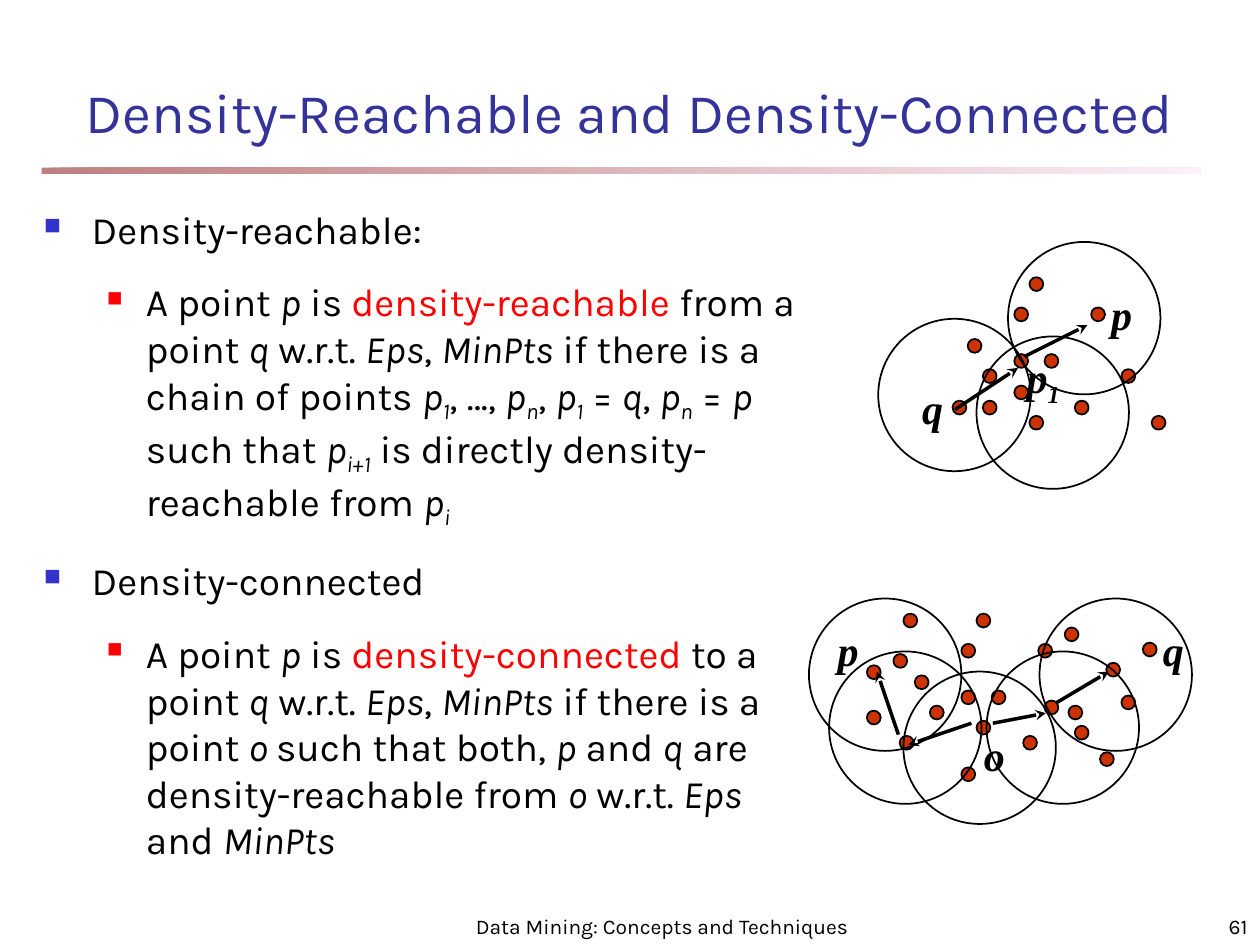
from dataclasses import dataclass

from lxml import etree
from pptx import Presentation
from pptx import util as u
from pptx.dml.color import RGBColor
from pptx.enum import shapes, text
from pptx.oxml import ns


@dataclass(frozen=True)
class Theme:
    title: RGBColor = RGBColor(0x33, 0x33, 0x99)
    ink: RGBColor = RGBColor(0, 0, 0)
    accent: RGBColor = RGBColor(0xFF, 0, 0)
    dot: RGBColor = RGBColor(0xCC, 0x33, 0)
    rule: tuple = (RGBColor(0x80, 0, 0), RGBColor(0xFA, 0xE2, 0xF6))
    bullets: tuple = (("3333CC", 60), ("FF0000", 55))
    font: str = "Karla"
    label_font: str = "Times New Roman"
    title_size: float = 32
    body_size: float = 22.2
    label_size: float = 24
    footer_size: float = 12


theme = Theme()
PX = u.Inches(1) // 100
DOT, CIRCLE = 11, 121


def add_text(container, box, size, font, paragraphs, bold=False):
    shape = container.add_textbox(*(value * PX for value in box))
    frame = shape.text_frame
    frame.word_wrap = True
    for index, markup in enumerate(paragraphs):
        paragraph = frame.paragraphs[0] if index == 0 else frame.add_paragraph()
        for piece in markup.split("|"):
            mark = piece[0] if piece[0] in "*_!" else ""
            run = paragraph.add_run()
            run.text = piece[len(mark):]
            run.font.name = font
            run.font.size = u.Pt(size)
            run.font.bold = bold
            run.font.italic = mark in ("*", "_")
            run.font.color.rgb = theme.accent if mark == "!" else theme.ink
            if mark == "_":
                run.font._element.set("baseline", "-25000")
    return frame


def add_ellipse(container, left, top, size, fill=None):
    shape = container.add_shape(
        shapes.MSO_SHAPE.OVAL, left * PX, top * PX, size * PX, size * PX)
    shape.shadow.inherit = False
    if fill is None:
        shape.fill.background()
    else:
        shape.fill.solid()
        shape.fill.fore_color.rgb = fill
    shape.line.color.rgb = theme.ink
    shape.line.width = u.Pt(1)


presentation = Presentation()
presentation.slide_width, presentation.slide_height = 1000 * PX, 750 * PX
slide = presentation.slides.add_slide(presentation.slide_layouts[5])

rule = slide.shapes.add_shape(
    shapes.MSO_SHAPE.RECTANGLE, 33 * PX, 133 * PX, 920 * PX, 5 * PX)
rule.shadow.inherit = False
rule.line.fill.background()
rule.fill.gradient()
rule.fill.gradient_angle = 0
for stop, color in zip(rule.fill.gradient_stops, theme.rule):
    stop.color.rgb = color
for color in rule._element.spPr.iter(ns.qn("a:srgbClr")):
    etree.SubElement(color, ns.qn("a:alpha"), val="50000")

title = slide.shapes.title
title.left, title.top, title.width, title.height = 0, 42 * PX, 1000 * PX, 92 * PX
title.text_frame.text = "Density-Reachable and Density-Connected"
title.text_frame.vertical_anchor = text.MSO_ANCHOR.MIDDLE
paragraph = title.text_frame.paragraphs[0]
paragraph.alignment = text.PP_ALIGN.CENTER
font = paragraph.runs[0].font
font.name, font.size = theme.font, u.Pt(theme.title_size)
font.color.rgb = theme.title

definitions = [
    "Density-reachable:",
    "A point |*p| is |!density-reachable| from a point |*q| w.r.t. |*Eps|, |*MinPts"
    "| if there is a chain of points |*p|_1|, …, |*p|_n|, |*p|_1| = |*q|, |*p|_n"
    "| = |*p| such that |*p|_i+1| is directly density-reachable from |*p|_i",
    "Density-connected",
    "A point |*p| is |!density-connected| to a point |*q| w.r.t. |*Eps|, |*MinPts"
    "| if there is a point |*o |such that both, |*p| and |*q"
    "| are density-reachable from |*o| w.r.t. |*Eps| and |*MinPts",
]
body = add_text(slide.shapes, (25, 158, 617, 550), theme.body_size, theme.font, definitions)
for index, paragraph in enumerate(body.paragraphs):
    level = index % 2
    paragraph.level = level
    if index:
        paragraph.space_before = u.Pt(15)
    margin, indent = ((38, -38), (81, -31))[level]
    color, percent = theme.bullets[level]
    properties = paragraph._p.get_or_add_pPr()
    properties.set("marL", str(margin * PX))
    properties.set("indent", str(indent * PX))
    bullet_color = etree.SubElement(properties, ns.qn("a:buClr"))
    etree.SubElement(bullet_color, ns.qn("a:srgbClr"), val=color)
    etree.SubElement(properties, ns.qn("a:buSzPct"), val=str(percent * 1000))
    etree.SubElement(properties, ns.qn("a:buChar"), char="■")

reachable = {
    "dots": [(768, 269), (805, 281), (805, 244), (756, 318), (780, 293), (780, 318),
             (817, 330), (817, 220), (890, 293), (866, 244), (805, 306), (829, 281),
             (853, 318), (914, 330)],
    "circles": [(775, 267), (697, 253), (800, 192)],
    "labels": [("*p", 872, 224, 42), ("*q", 722, 299, 42), ("*p|_1", 805, 274, 67)],
    "arrows": [(813, 283, 863, 258), (758, 325, 808, 292)],
}
connected = {
    "dots": [(726, 536), (763, 548), (763, 511), (714, 584), (738, 560), (763, 609),
             (775, 572), (775, 487), (848, 560), (824, 511), (688, 564), (787, 548),
             (812, 584), (873, 597), (890, 552), (829, 556), (853, 576), (907, 510),
             (845, 498), (878, 526), (709, 519), (688, 528), (717, 487)],
    "circles": [(658, 517), (717, 533), (783, 517), (825, 475), (642, 475)],
    "labels": [("*p", 655, 491, 42), ("*q", 913, 491, 42), ("*o", 771, 574, 42)],
    "arrows": [(771, 574, 721, 591), (788, 574, 830, 566),
               (713, 583, 696, 533), (838, 558, 880, 533)],
}
connected_group = slide.shapes.add_group_shape()
for container, figure in ((slide.shapes, reachable), (connected_group.shapes, connected)):
    for left, top in figure["dots"]:
        add_ellipse(container, left, top, DOT, theme.dot)
    for left, top in figure["circles"]:
        add_ellipse(container, left, top, CIRCLE)
    for label, left, top, width in figure["labels"]:
        add_text(container, (left, top, width, 50), theme.label_size,
                 theme.label_font, [label], bold=True)
    for ends in figure["arrows"]:
        arrow = container.add_connector(
            shapes.MSO_CONNECTOR.STRAIGHT, *(value * PX for value in ends))
        arrow.line.color.rgb = theme.ink
        arrow.line.width = u.Pt(2)
        etree.SubElement(arrow.line._get_or_add_ln(), ns.qn("a:tailEnd"), type="stealth")
        etree.SubElement(arrow._element.spPr, ns.qn("a:effectLst"))

footers = [
    ("Data Mining: Concepts and Techniques", 367, 317, text.PP_ALIGN.CENTER),
    ("61", 792, 208, text.PP_ALIGN.RIGHT),
]
for wording, left, width, alignment in footers:
    frame = add_text(slide.shapes, (left, 708, width, 42), theme.footer_size,
                     theme.font, [wording])
    frame.vertical_anchor = text.MSO_ANCHOR.BOTTOM
    frame.paragraphs[0].alignment = alignment

presentation.save("out.pptx")
